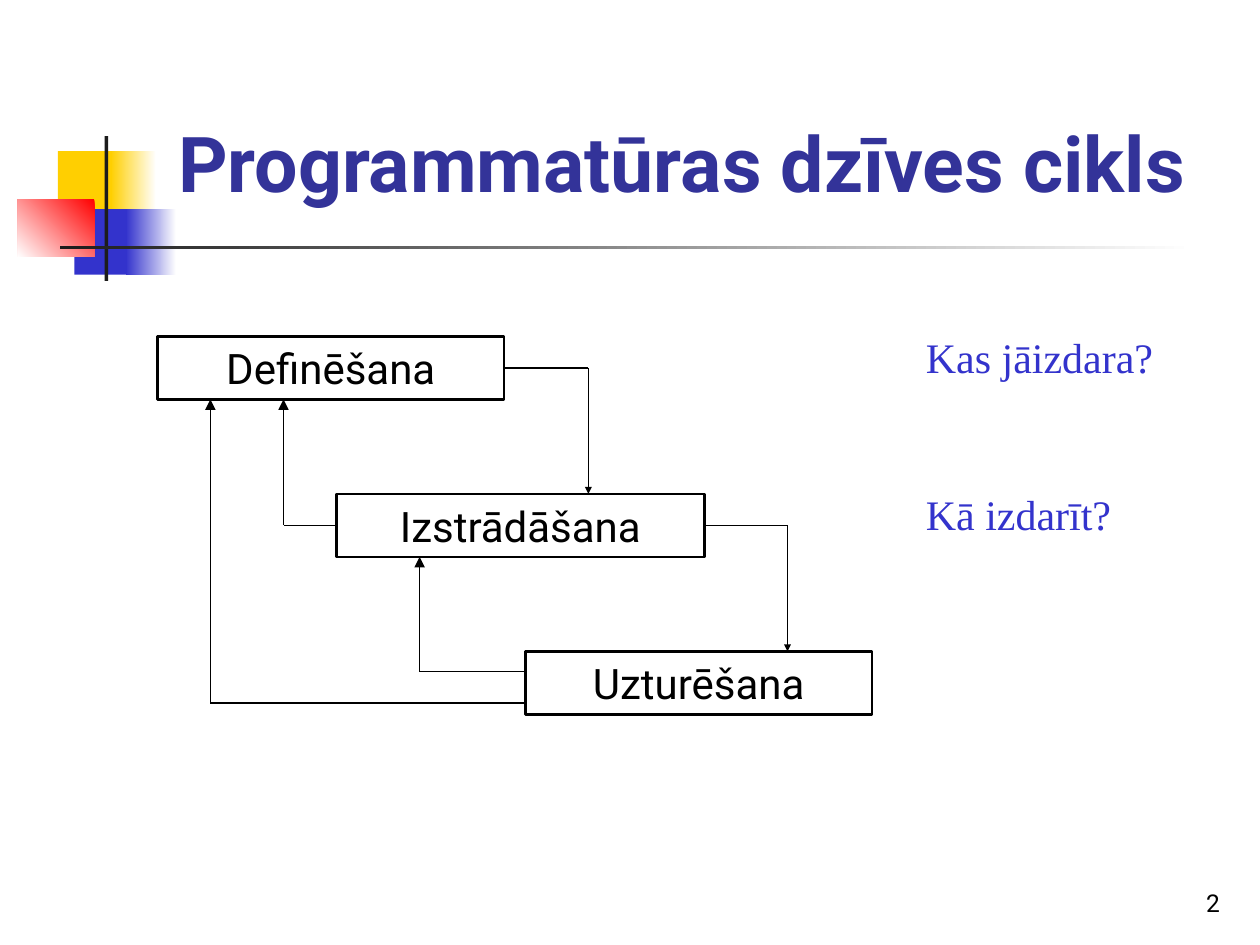
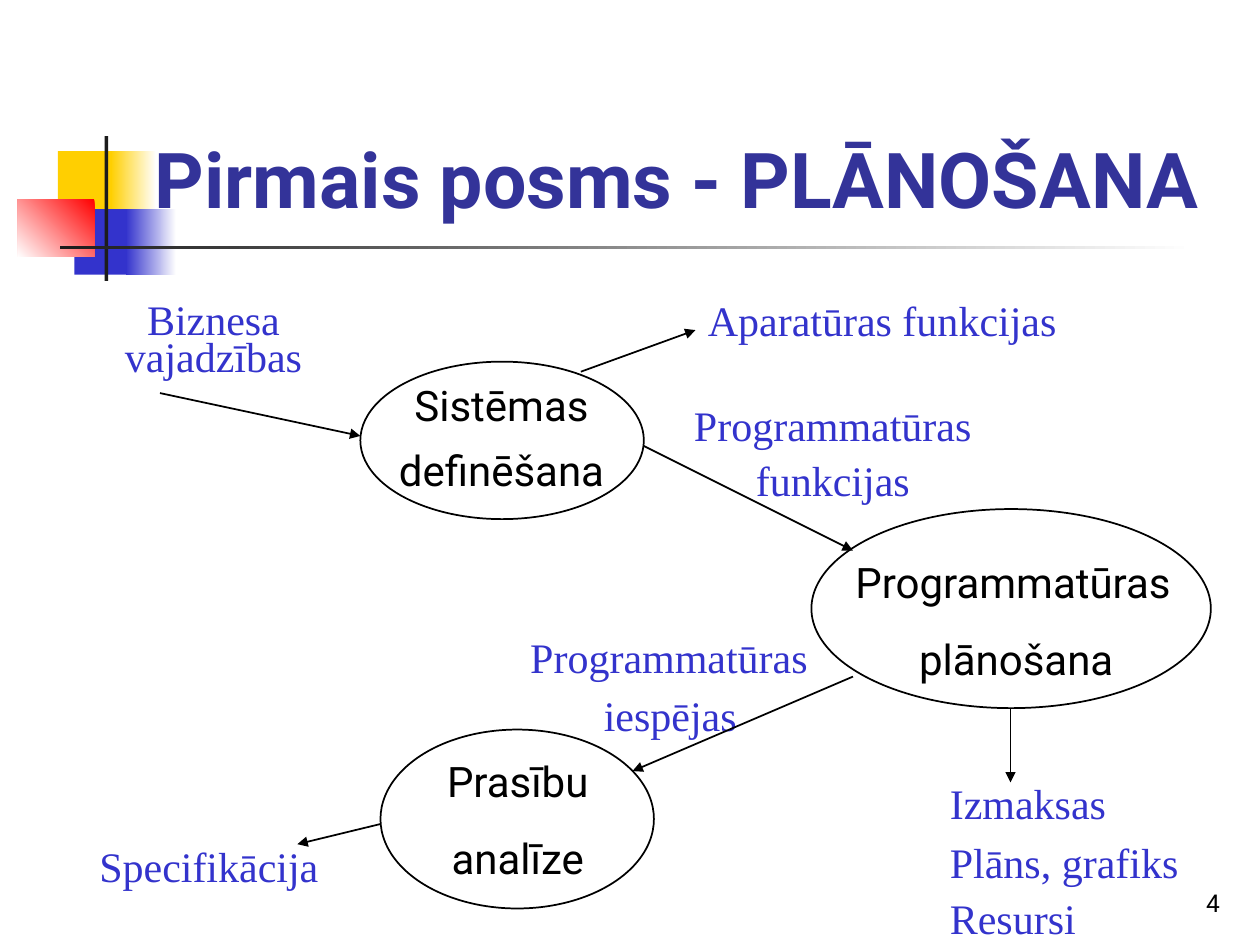
import pptx
import pptx.util
import pptx.dml.color
import pptx.enum.shapes
import pptx.enum.text
import pptx.oxml
import pptx.oxml.ns
from pptx.util import Inches

COLORS = {
    "title": "333399", "note": "3333CC", "text": "000000", "white": "FFFFFF",
    "yellow": "FFCF01", "blue": "3333CC", "red": "FF0000", "bar": "1C1C1C",
}
SANS, SERIF = "Roboto", "Times New Roman"
SHAPE = pptx.enum.shapes.MSO_SHAPE
ALIGN = pptx.enum.text.PP_ALIGN
ANCHOR = pptx.enum.text.MSO_ANCHOR
LEFT, CENTER, RIGHT = ALIGN.LEFT, ALIGN.CENTER, ALIGN.RIGHT
BOTTOM_SIDE, LEFT_SIDE, RIGHT_SIDE = 2, 1, 3


def rgb(name):
    return pptx.dml.color.RGBColor.from_string(COLORS[name])


# Shared building blocks

def write_text(shape, lines, size=24, font=SANS, color="text", bold=False,
               align=CENTER, anchor=ANCHOR.TOP, spacing=1):
    """Write lines; align and spacing are one value or one per line."""
    frame = shape.text_frame
    frame.word_wrap = True
    frame.vertical_anchor = anchor
    aligns = align if isinstance(align, list) else [align] * len(lines)
    spacings = spacing if isinstance(spacing, list) else [spacing] * len(lines)
    for index, line in enumerate(lines):
        paragraph = frame.add_paragraph() if index else frame.paragraphs[0]
        paragraph.alignment = aligns[index]
        paragraph.line_spacing = float(spacings[index])
        paragraph.space_before = pptx.util.Pt(15 if index else 0)
        run = paragraph.add_run()
        run.text = line
        run.font.size = pptx.util.Pt(size)
        run.font.name = font
        run.font.bold = bold
        run.font.color.rgb = rgb(color)


def add_text(slide, left, top, width, height, lines, **text_format):
    box = slide.shapes.add_textbox(Inches(left), Inches(top), Inches(width), Inches(height))
    write_text(box, lines, **text_format)


def add_shape(slide, kind, left, top, width, height, line_width=None):
    shape = slide.shapes.add_shape(kind, Inches(left), Inches(top), Inches(width), Inches(height))
    shape.shadow.inherit = False
    shape.fill.background()
    if line_width:
        shape.line.color.rgb = rgb("text")
        shape.line.width = pptx.util.Pt(line_width)
    else:
        shape.line.fill.background()
    return shape


def add_line(slide, start, end, arrow=None):
    """Draw a straight line; arrow is the size of the head at its end."""
    line = slide.shapes.add_connector(
        pptx.enum.shapes.MSO_CONNECTOR.STRAIGHT, *map(Inches, (*start, *end)))
    line.line.color.rgb = rgb("text")
    line.line.width = pptx.util.Pt(1)
    properties = line._element.spPr
    if arrow:
        properties.find(pptx.oxml.ns.qn("a:ln")).append(pptx.oxml.parse_xml(
            f'<a:tailEnd {pptx.oxml.ns.nsdecls("a")} type="triangle" w="{arrow}" len="{arrow}"/>'))
    properties.append(pptx.oxml.parse_xml(f'<a:effectLst {pptx.oxml.ns.nsdecls("a")}/>'))
    return line


# Frame of every slide

def add_ornament(slide, left, top):
    blocks = [  # x, y, width, height, colours, gradient angle
        (0.32, 0.12, 0.48, 0.52, ["yellow"], 0),
        (0.74, 0.12, 0.36, 0.52, ["white", "yellow"], 180),
        (0.45, 0.58, 0.46, 0.52, ["blue"], 0),
        (0.86, 0.58, 0.4, 0.52, ["white", "blue"], 180),
        (0, 0.5, 0.61, 0.46, ["red", "white"], 225),
        (0.69, 0, 0.03, 1.15, ["bar"], 0),
        (0.34, 0.87, 9, 0.03, ["white", "bar"], 180),
    ]
    for x, y, width, height, colors, angle in blocks:
        fill = add_shape(slide, SHAPE.RECTANGLE, left + x, top + y, width, height).fill
        if len(colors) == 1:
            fill.solid()
            fill.fore_color.rgb = rgb(colors[0])
        else:
            fill.gradient()
            fill.gradient_angle = angle
            for stop, color in zip(fill.gradient_stops, colors):
                stop.color.rgb = rgb(color)


def add_framed_slide(presentation, title, title_box, number):
    slide = presentation.slides.add_slide(presentation.slide_layouts[6])
    add_ornament(slide, 0.14, 1.08)
    add_text(slide, *title_box, [title], size=44, color="title", bold=True,
             anchor=ANCHOR.BOTTOM)
    add_text(slide, 7.7, 6.83, 2.08, 0.5, [str(number)], size=14, align=RIGHT,
             anchor=ANCHOR.BOTTOM)
    return slide


# Life cycle: a staircase of phases with arrows forward and back

def add_life_cycle(slide, left, top):
    step, height = 1.25, 0.5
    phases = [("Definēšana", 0, 2.75), ("Izstrādāšana", 1.42, 2.92), ("Uzturēšana", 2.92, 2.75)]
    boxes = []
    for index, (name, x, width) in enumerate(phases):
        box = add_shape(slide, SHAPE.RECTANGLE, left + x, top + index * step,
                        width, height, line_width=1.5)
        write_text(box, [name])
        boxes.append(box)

    # Forward: out of the right side, down to the next phase
    for index, corner_x in enumerate([3.42, 5]):
        name, x, width = phases[index]
        row = top + index * step
        corner = (left + corner_x, row + height / 2)
        line = add_line(slide, (left + x + width, corner[1]), corner)
        line.begin_connect(boxes[index], RIGHT_SIDE)
        add_line(slide, corner, (corner[0], row + step), arrow="sm")

    # Back: out of the left side, up to an earlier phase
    returns = [(1, 0, 1, 0.25), (2, 1, 2.08, 0.16), (2, 0, 0.42, 0.41)]
    for source, target, corner_x, drop in returns:
        corner = (left + corner_x, top + source * step + drop)
        line = add_line(slide, (left + phases[source][1], corner[1]), corner)
        if drop == height / 2:
            line.begin_connect(boxes[source], LEFT_SIDE)
        add_line(slide, corner, (corner[0], top + target * step + height), arrow="med")

    # Questions beside the first two phases
    for index, question in enumerate(["Kas jāizdara?", "Kā izdarīt?"]):
        add_text(slide, left + 6, top - 0.09 + index * step, 2.25, height, [question],
                 font=SERIF, color="note", align=LEFT)


# Planning: ovals for activities, notes for what goes in and out

def add_activity(slide, left, top, width, height, label_box, lines, **text_format):
    add_shape(slide, SHAPE.OVAL, left, top, width, height, line_width=1)
    x, y, label_width, label_height = label_box
    add_text(slide, left + x, top + y, label_width, label_height, lines, **text_format)


def add_planning(slide, left, top):
    activities = [
        (2.36, 0.62, 2.25, 1.25, (0.16, 0.09, 1.92, 1.31),
         ["Sistēmas", "definēšana"], CENTER, [1, 0.75]),
        (5.94, 1.79, 3.17, 1.58, (0.25, 0.33, 2.75, 1.51),
         ["Programmatūras", "plānošana"], [LEFT, CENTER], 1),
        (2.52, 3.54, 2.17, 1.42, (0.34, 0.16, 1.5, 1.11),
         ["Prasību", "analīze"], CENTER, 1),
    ]
    for x, y, width, height, label_box, lines, align, spacing in activities:
        add_activity(slide, left + x, top + y, width, height, label_box, lines,
                     align=align, spacing=spacing)

    notes = [
        (0.36, 0.12, 1.67, 0.7, ["Biznesa vajadzības"], CENTER, 0.75),
        (5.02, 0.04, 3.17, 0.5, ["Aparatūras funkcijas"], LEFT, 1),
        (4.86, 0.87, 2.5, 0.91, ["Programmatūras", "funkcijas"], CENTER, [1, 0.5]),
        (3.61, 2.71, 2.42, 0.95, ["Programmatūras", "iespējas"], [LEFT, CENTER], [1, 0.6]),
        (6.94, 3.87, 2.25, 1.4, ["Izmaksas", "Plāns, grafiks", "Resursi"], LEFT, [1, 0.6, 0.6]),
        (0.19, 4.37, 2, 0.5, ["Specifikācija"], LEFT, 1),
    ]
    for x, y, width, height, lines, align, spacing in notes:
        add_text(slide, left + x, top + y, width, height, lines, font=SERIF,
                 color="note", align=align, spacing=spacing)

    arrows = [
        ((0.77, 0.87), (2.36, 1.21)), ((4.11, 0.7), (5.02, 0.37)),
        ((4.61, 1.29), (6.27, 2.12)), ((6.27, 3.12), (4.52, 3.87)),
        ((7.52, 3.37), (7.52, 3.96)), ((2.52, 4.29), (1.86, 4.45)),
    ]
    for start, end in arrows:
        add_line(slide, (left + start[0], top + start[1]),
                 (left + end[0], top + end[1]), arrow="med")


def main():
    presentation = pptx.Presentation()
    presentation.slide_width, presentation.slide_height = Inches(10), Inches(7.5)
    life_cycle = add_framed_slide(
        presentation, "Programmatūras dzīves cikls", (0.83, 0.58, 9.17, 1.12), 2)
    add_life_cycle(life_cycle, 1.25, 2.67)
    planning = add_framed_slide(
        presentation, "Pirmais posms - PLĀNOŠANA", (0.75, 0.58, 9.25, 1.25), 4)
    add_planning(planning, 0.5, 2.25)
    presentation.save("out.pptx")


if __name__ == "__main__":
    main()
